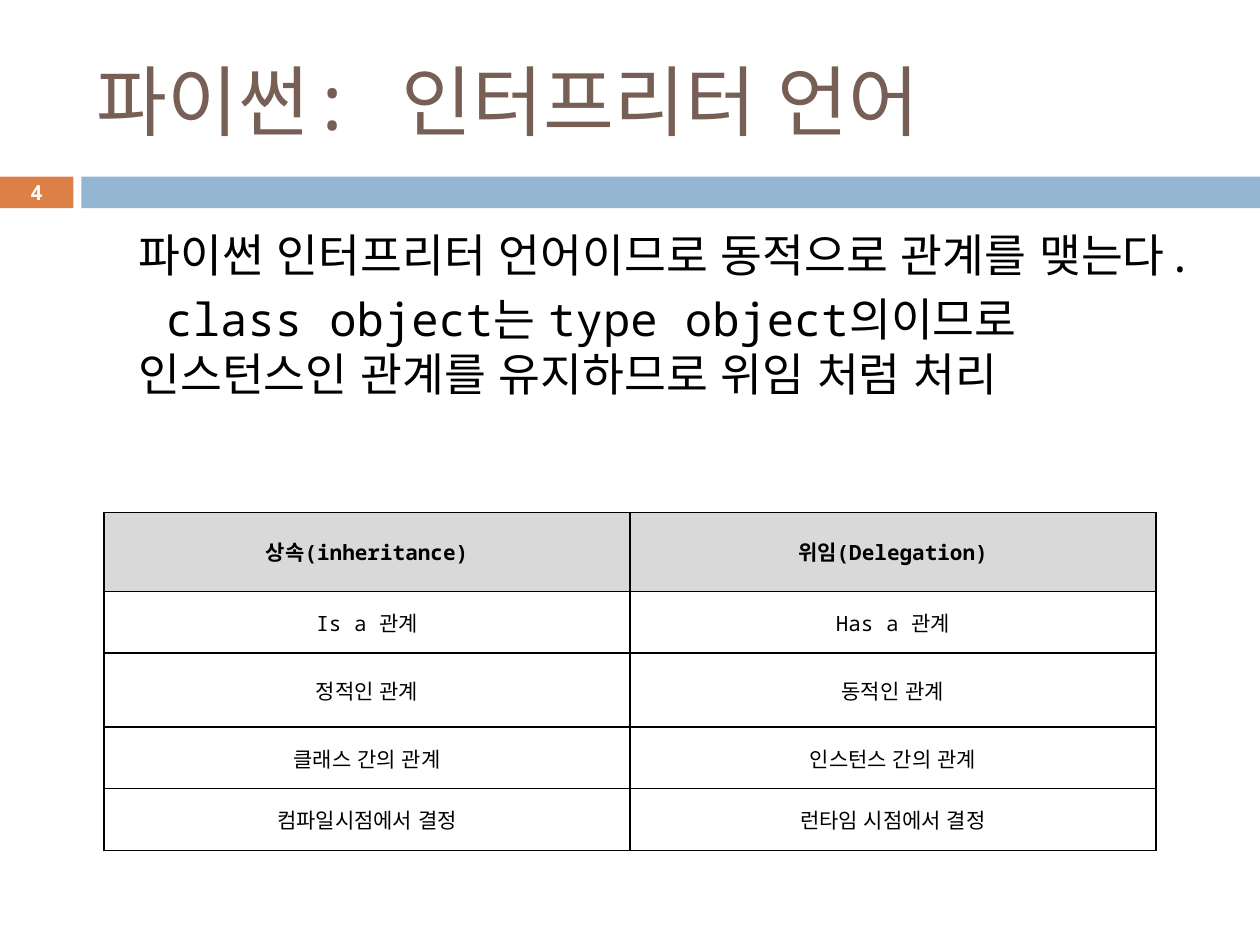
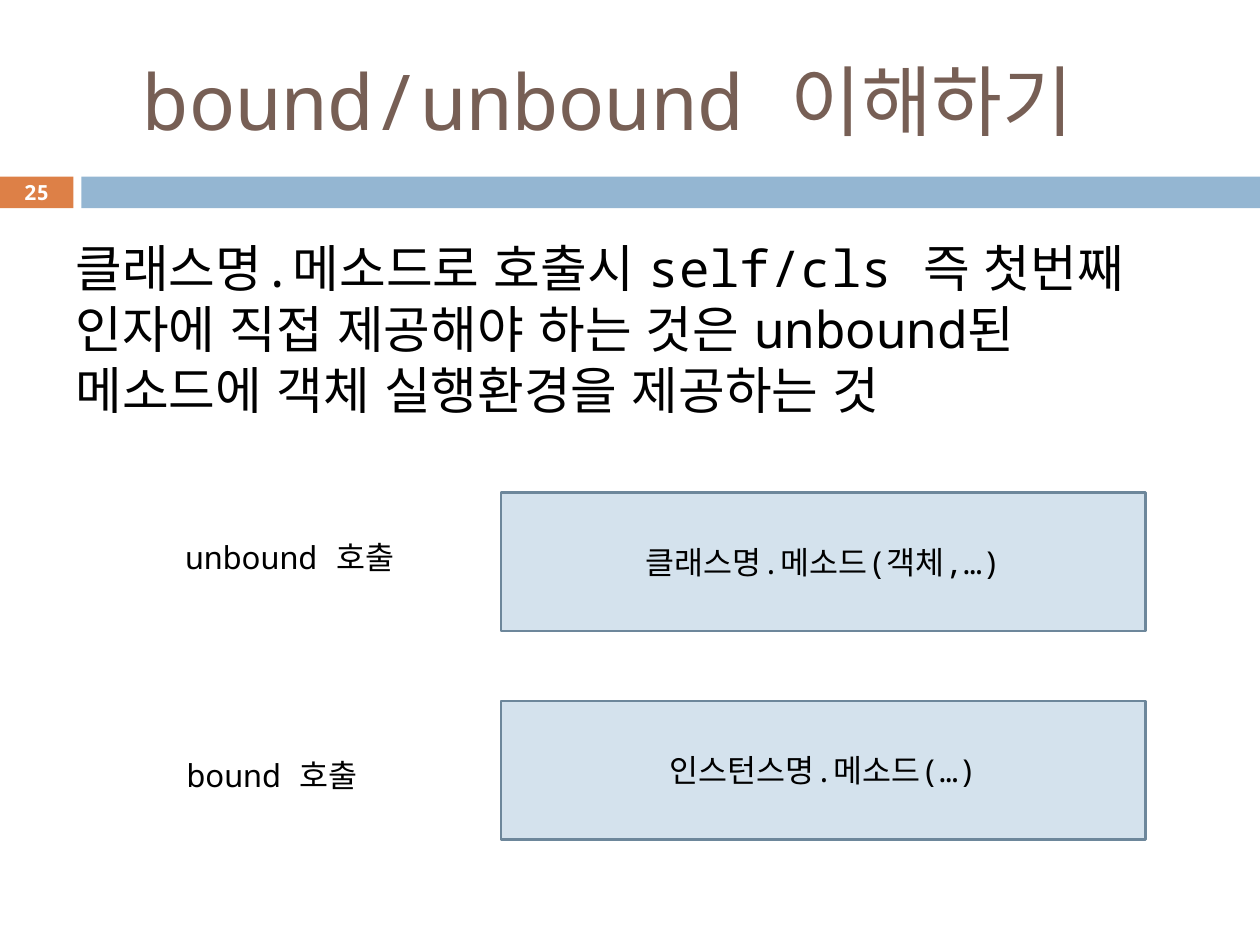
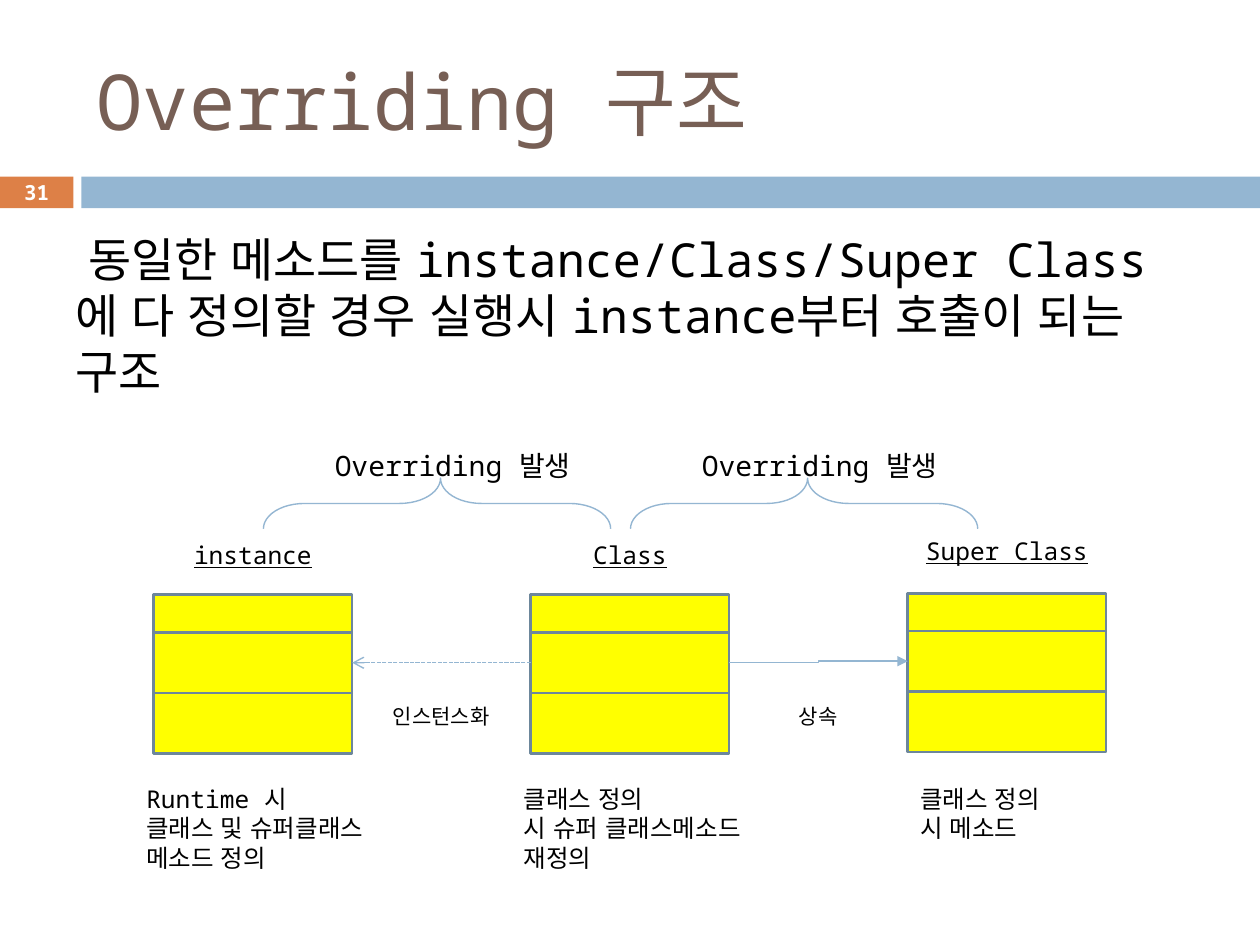
"""Build three slides on Python class relations, method binding and overriding."""
from dataclasses import dataclass

from lxml import etree
from pptx import Presentation
from pptx.dml.color import RGBColor
from pptx.enum.dml import MSO_LINE
from pptx.enum.lang import MSO_LANGUAGE_ID
from pptx.enum.shapes import MSO_CONNECTOR, MSO_SHAPE
from pptx.enum.text import MSO_ANCHOR, PP_ALIGN
from pptx.oxml.ns import qn
from pptx.util import Cm, Pt

RECT, BRACE = MSO_SHAPE.RECTANGLE, MSO_SHAPE.LEFT_BRACE
STRAIGHT, ELBOW = MSO_CONNECTOR.STRAIGHT, MSO_CONNECTOR.ELBOW
DASH = MSO_LINE.SQUARE_DOT
LEFT, CENTER = PP_ALIGN.LEFT, PP_ALIGN.CENTER
TOP, MIDDLE = MSO_ANCHOR.TOP, MSO_ANCHOR.MIDDLE
KOREAN = MSO_LANGUAGE_ID.KOREAN

FONT = "Noto Sans Mono"
BLACK = RGBColor(0x00, 0x00, 0x00)
WHITE = RGBColor(0xFF, 0xFF, 0xFF)
BROWN = RGBColor(0x77, 0x5F, 0x55)
ORANGE = RGBColor(0xDD, 0x80, 0x47)
BLUE = RGBColor(0x94, 0xB6, 0xD2)
PALE_BLUE = RGBColor(0xD4, 0xE2, 0xED)
STEEL = RGBColor(0x6D, 0x87, 0x9B)
YELLOW = RGBColor(0xFF, 0xFF, 0x00)
GREY = RGBColor(0xD9, 0xD9, 0xD9)

BLOCK_W = 4
BLOCK_ROWS = (0.76, 1.22, 1.22)


@dataclass(frozen=True)
class Box:
    """Position and size in centimetres."""
    x: float
    y: float
    w: float
    h: float

    def lengths(self) -> tuple:
        """Return the four values as lengths."""
        return Cm(self.x), Cm(self.y), Cm(self.w), Cm(self.h)


@dataclass(frozen=True)
class Style:
    """Look of a piece of text."""
    size: float
    color: RGBColor = BLACK
    bold: bool = False
    underline: bool = False
    align: int = LEFT
    anchor: int = TOP
    before: float = 0
    indent: float = 0


@dataclass(frozen=True)
class ClassBlock:
    """A three-part class box with its heading and note."""
    name: str
    x: float
    y: float
    name_y: float
    note_x: float
    note: tuple


TITLE = Style(44, BROWN, anchor=MIDDLE)
NUMBER = Style(11.9, WHITE, bold=True, align=CENTER, anchor=MIDDLE)
CALL = Style(18, align=CENTER, anchor=MIDDLE)
CALL_LABEL = Style(18)
HEADING = Style(14, underline=True, align=CENTER)
NOTE = Style(14)
ARROW_LABEL = Style(12, align=CENTER)
BRACE_LABEL = Style(16)

RELATIONS = (
    ("상속(inheritance)", "위임(Delegation)"),
    ("Is a 관계", "Has a 관계"),
    ("정적인 관계", "동적인 관계"),
    ("클래스 간의 관계", "인스턴스 간의 관계"),
    ("컴파일시점에서 결정", "런타임 시점에서 결정"),
)
RELATION_ROWS = (1.59, 1.24, 1.5, 1.24, 1.24)

CALLS = (
    (" unbound 호출", Box(3.1, 10.72, 5.59, 1.02), "클래스명.메소드(객체,…)", 9.93),
    (" bound 호출", Box(3.13, 15.11, 5.59, 1.02), "인스턴스명.메소드(…)", 14.13),
)

BLOCKS = (
    ClassBlock("instance", 3.1, 11.99, 10.76, 2.7,
               ("Runtime 시", "클래스 및 슈퍼클래스 메소드 정의")),
    ClassBlock("Class", 10.7, 11.99, 10.76, 10.31,
               ("클래스 정의", "시 슈퍼 클래스메소드 재정의")),
    ClassBlock("Super Class", 18.3, 11.96, 10.68, 18.3,
               ("클래스 정의", "시 메소드")),
)


def write(tf, lines: tuple, style: Style) -> None:
    """Fill a text frame with one paragraph per line."""
    tf.word_wrap = True
    tf.vertical_anchor = style.anchor
    for i, line in enumerate(lines):
        p = tf.add_paragraph() if i else tf.paragraphs[0]
        p.alignment = style.align
        p.space_before = Pt(style.before)
        if style.indent:
            p._p.get_or_add_pPr().set("marL", str(Cm(style.indent)))
        r = p.add_run()
        r.text = line
        f = r.font
        f.name, f.size, f.bold = FONT, Pt(style.size), style.bold
        f.underline = style.underline
        f.color.rgb = style.color
        f.language_id = KOREAN


def add_text(s, box: Box, lines: tuple, style: Style):
    """Add a wrapped text box."""
    sp = s.shapes.add_textbox(*box.lengths())
    write(sp.text_frame, lines, style)
    return sp


def add_figure(shapes, kind: int, box: Box, fill=None, line=None, width: float = 1.5):
    """Add a preset shape with plain fill and line."""
    sp = shapes.add_shape(kind, *box.lengths())
    sp.shadow.inherit = False
    if fill is None:
        sp.fill.background()
    else:
        sp.fill.solid()
        sp.fill.fore_color.rgb = fill
    if line is None:
        sp.line.fill.background()
    else:
        sp.line.color.rgb = line
        sp.line.width = Pt(width)
    return sp


def add_arrow(s, kind: int, start: tuple, end: tuple, head: str, dash=None) -> None:
    """Add a connector with an arrowhead at its end."""
    points = (Cm(v) for v in start + end)
    cxn = s.shapes.add_connector(kind, *points)
    cxn.line.color.rgb = BLUE
    cxn.line.width = Pt(0.79)
    if dash is not None:
        cxn.line.dash_style = dash
    etree.SubElement(cxn.line._get_or_add_ln(), qn("a:tailEnd"), type=head)
    etree.SubElement(cxn._element.spPr, qn("a:effectLst"))


def border_cell(cell) -> None:
    """Draw a thin black line on all four sides of a cell."""
    tc_pr = cell._tc.get_or_add_tcPr()
    for i, side in enumerate(("lnL", "lnR", "lnT", "lnB")):
        ln = etree.Element(qn(f"a:{side}"), w=str(Pt(1)))
        fill = etree.SubElement(ln, qn("a:solidFill"))
        etree.SubElement(fill, qn("a:srgbClr"), val=str(BLACK))
        tc_pr.insert(i, ln)


def add_relations(s) -> None:
    """Add the table that compares inheritance and delegation."""
    box = Box(2.1, 10.33, 21.2, sum(RELATION_ROWS))
    frame = s.shapes.add_table(len(RELATIONS), 2, *box.lengths())
    table = frame.table
    table.first_row = table.horz_banding = False
    for col in table.columns:
        col.width = Cm(box.w / 2)
    for i, (height, texts) in enumerate(zip(RELATION_ROWS, RELATIONS)):
        table.rows[i].height = Cm(height)
        style = Style(12, bold=i == 0, align=CENTER)
        for j, text in enumerate(texts):
            cell = table.cell(i, j)
            write(cell.text_frame, (text,), style)
            cell.vertical_anchor = MIDDLE
            if i:
                cell.fill.background()
            else:
                cell.fill.solid()
                cell.fill.fore_color.rgb = GREY
            border_cell(cell)


def add_block(s, block: ClassBlock) -> None:
    """Add a class block with its heading and note."""
    group = s.shapes.add_group_shape()
    y = block.y
    for h in BLOCK_ROWS:
        add_figure(group.shapes, RECT, Box(block.x, y, BLOCK_W, h), YELLOW, STEEL)
        y += h
    add_text(s, Box(block.x, block.name_y, BLOCK_W, 0.86), (block.name,), HEADING)
    add_text(s, Box(block.note_x, 15.68, 5.21, 2.06), block.note, NOTE)


def new_slide(prs, title: str, number: int):
    """Add a slide with title, bands and slide number."""
    s = prs.slides.add_slide(prs.slide_layouts[6])
    add_figure(s.shapes, RECT, Box(0, 3.56, 1.48, 0.64), ORANGE)
    add_figure(s.shapes, RECT, Box(1.64, 3.56, 23.76, 0.64), BLUE)
    add_text(s, Box(1.7, 0.64, 22.66, 2.74), (title,), TITLE)
    tf = add_text(s, Box(0, 3.53, 1.48, 0.69), (str(number),), NUMBER).text_frame
    tf.margin_left = tf.margin_right = tf.margin_top = tf.margin_bottom = 0
    return s


def interpreter_slide(prs) -> None:
    """Compare inheritance with delegation."""
    s = new_slide(prs, "파이썬: 인터프리터 언어", 4)
    add_text(s, Box(1.27, 4.45, 22.86, 4.5), (
        "파이썬 인터프리터 언어이므로 동적으로 관계를 맺는다.",
        " class object는 type object의이므로 인스턴스인 관계를 유지하므로 위임 처럼 처리",
    ), Style(26, before=5.5, indent=1.27))
    add_relations(s)


def binding_slide(prs) -> None:
    """Show unbound and bound calls."""
    s = new_slide(prs, " bound/unbound 이해하기", 25)
    add_text(s, Box(1.27, 4.65, 22.86, 3.89), (
        "클래스명.메소드로 호출시 self/cls 즉 첫번째 인자에 직접 제공해야 하는 것은 "
        "unbound된 메소드에 객체 실행환경을 제공하는 것",
    ), Style(29, before=7))
    for label, label_box, call, y in CALLS:
        sp = add_figure(s.shapes, RECT, Box(10.1, y, 13, 2.79), PALE_BLUE, STEEL)
        write(sp.text_frame, (call,), CALL)
        add_text(s, label_box, (label,), CALL_LABEL)


def overriding_slide(prs) -> None:
    """Show how overriding runs from instance to super class."""
    s = new_slide(prs, "Overriding 구조", 31)
    add_text(s, Box(1.27, 4.52, 22.86, 3.3), (
        " 동일한 메소드를 instance/Class/Super Class에 다 정의할 경우 실행시 "
        "instance부터 호출이 되는 구조",
    ), Style(26.8, before=7))
    for block in BLOCKS:
        add_block(s, block)
    instance, cls, parent = BLOCKS
    y = 13.36
    add_arrow(s, ELBOW, (cls.x + BLOCK_W, y), (parent.x, y - 0.03), "triangle")
    add_arrow(s, STRAIGHT, (cls.x, y), (instance.x + BLOCK_W, y), "arrow", DASH)
    add_text(s, Box(15.3, 14.06, 2.39, 0.76), ("상속",), ARROW_LABEL)
    add_text(s, Box(7.5, 14.06, 2.79, 0.76), ("인스턴스화",), ARROW_LABEL)
    for x in (8.3, 15.7):
        sp = add_figure(s.shapes, BRACE, Box(x, 6.65, 1.02, 7), line=BLUE, width=0.79)
        sp.rotation = 90
        sp.adjustments[0], sp.adjustments[1] = 0.81, 0.49
        add_text(s, Box(x - 1.8, 8.92, 5.59, 0.94), ("Overriding 발생",), BRACE_LABEL)


def main() -> None:
    """Build and save the presentation."""
    prs = Presentation()
    prs.slide_width, prs.slide_height = Cm(25.4), Cm(19.05)
    interpreter_slide(prs)
    binding_slide(prs)
    overriding_slide(prs)
    prs.save("out.pptx")


if __name__ == "__main__":
    main()
